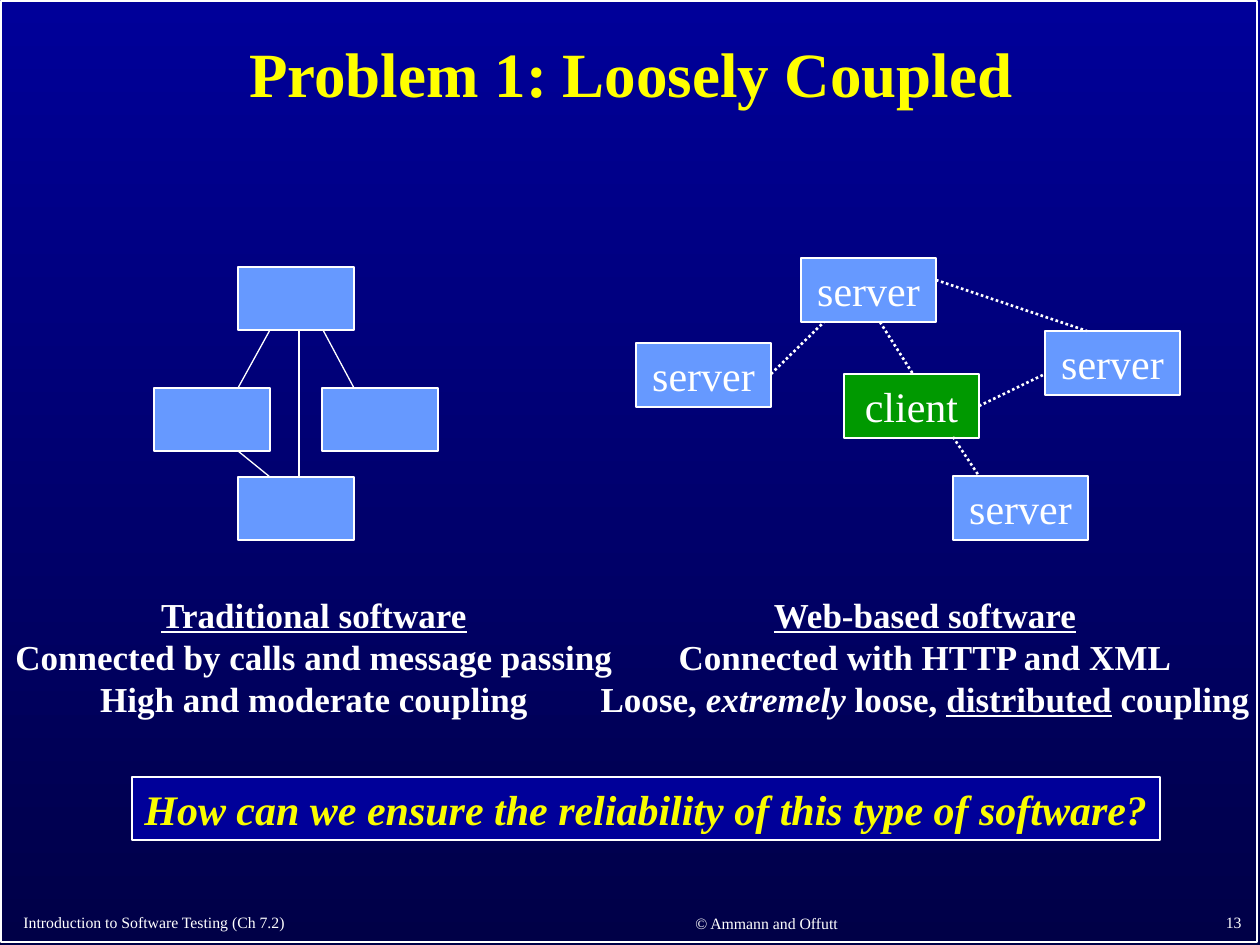
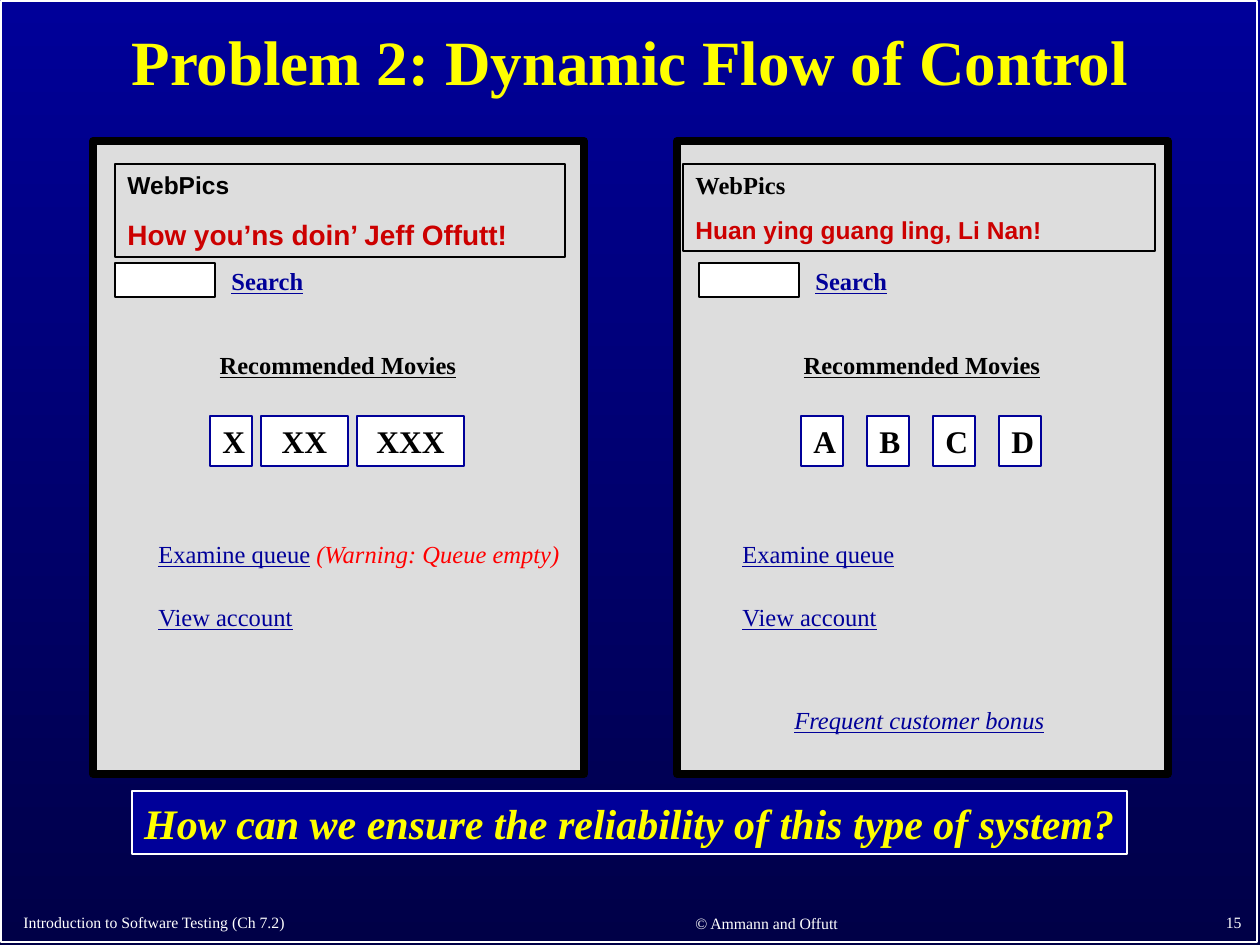
from lxml.etree import SubElement
from pptx import Presentation
from pptx.dml.color import RGBColor as Rgb
from pptx.enum.dml import MSO_LINE as Dash
from pptx.enum.shapes import MSO_CONNECTOR as Wire, MSO_SHAPE as Kind
from pptx.enum.text import MSO_ANCHOR as Anchor, MSO_AUTO_SIZE as Fit, PP_ALIGN as Align
from pptx.oxml.ns import qn
from pptx.util import Pt

PX = 914400 / 126
WIDE, HIGH = 1260, 945

NAVY = Rgb(0x00, 0x00, 0x99)
NIGHT = Rgb(0x00, 0x00, 0x47)
WHITE = Rgb(0xFF, 0xFF, 0xFF)
BLACK = Rgb(0x00, 0x00, 0x00)
YELLOW = Rgb(0xFF, 0xFF, 0x00)
LEMON = Rgb(0xFA, 0xFD, 0x00)
BLUE = Rgb(0x66, 0x99, 0xFF)
GREEN = Rgb(0x00, 0x99, 0x00)
GREY = Rgb(0xDD, 0xDD, 0xDD)
BRICK = Rgb(0xCC, 0x00, 0x00)
RED = Rgb(0xFF, 0x00, 0x00)
SERIF, SANS = "Times New Roman", "Arial"

# Shared footer: text, place, alignment
FOOTS = [
    ("Introduction to Software Testing (Ch 7.2)", (11, 900, 534, 38), Align.LEFT),
    ("© Ammann and Offutt", (567, 900, 399, 39), Align.CENTER),
]
PAGE = (992, 898, 262, 40)

# Slide 1: boxes, links and captions
LOOSE = {
    "title": ("Problem 1: Loosely Coupled", (13, 14, 1236, 126)),
    "page": "13",
    "ask": ("How can we ensure the reliability of this type of software?",
            (132, 777, 1028, 63), LEMON),
}
MODULE = (116, 63)
MODULES = [(238, 267), (238, 477), (322, 388), (154, 388)]
CALLS = [(270, 330, 238, 388), (323, 330, 354, 388),
         (238, 451, 270, 477), (299, 330, 299, 477)]
NODE = (135, 64)
NODES = [("server", 801, 258, BLUE), ("server", 636, 343, BLUE),
         ("client", 844, 374, GREEN), ("server", 1045, 331, BLUE),
         ("server", 953, 476, BLUE)]
LINKS = [(880, 322, 913, 374), (979, 406, 1045, 374), (953, 437, 979, 476),
         (771, 374, 824, 322), (936, 280, 1087, 331)]
CAPTIONS = [
    ((3, 587, 622, 139), [
        [("Traditional software", "bu")],
        [("Connected by calls and message passing", "b")],
        [("High and moderate coupling", "b")]]),
    ((588, 587, 674, 139), [
        [("Web-based software", "bu")],
        [("Connected with HTTP and XML", "b")],
        [("Loose, ", "b"), ("extremely", "bi"), (" loose, ", "b"),
         ("distributed", "bu"), (" coupling", "b")]]),
]

# Slide 2: two web pages; "hello" is the greeting, "extra" the one odd line
FLOW = {
    "title": ("Problem 2: Dynamic Flow of Control", (0, 0, 1260, 130)),
    "page": "15",
    "ask": ("How can we ensure the reliability of this type of system?",
            (132, 791, 995, 63), YELLOW),
}
SITES = [
    {"left": 93, "head": (115, 164, 450, 93), "brand": SERIF and SANS,
     "hello": ("How you’ns doin’ Jeff Offutt!", 16, 10),
     "films": [("X", 42), ("XX", 87), ("XXX", 107)], "start": 210, "gap": 9,
     "extra": ("(Warning: Queue empty)", "i", RED, (304, 533, 280, 43))},
    {"left": 677, "head": (683, 164, 472, 87), "brand": SERIF,
     "hello": ("Huan ying guang ling, Li Nan!", 14, 8.8),
     "films": [(name, 42) for name in "ABCD"], "start": 801, "gap": 24,
     "extra": ("Frequent customer bonus", "iu", NAVY, (782, 699, 280, 43))},
]
# Lines found on both pages: text, style, colour, place from page left, alignment
LABELS = [
    ("Search", "bu", NAVY, (126, 260, 105, 43), Align.LEFT),
    ("Recommended Movies", "bu", BLACK, (73, 344, 344, 43), Align.CENTER),
    ("Examine queue", "u", NAVY, (53, 533, 178, 43), Align.LEFT),
    ("View account", "u", NAVY, (53, 596, 178, 43), Align.LEFT),
]


def emu(at):
    return [round(n * PX) for n in at]


def style(run, size, color, marks="", face=SERIF):
    font = run.font
    font.name, font.size = face, Pt(size)
    font.color.rgb = color
    font.bold, font.italic, font.underline = (m in marks for m in "biu")


def write(shape, paras, size, color, align=Align.CENTER, anchor=Anchor.TOP, wrap=True):
    """Fill a shape with paragraphs, each a list of (text, marks) runs."""
    frame = shape.text_frame
    frame.word_wrap, frame.auto_size = wrap, Fit.NONE
    frame.vertical_anchor = anchor
    for i, runs in enumerate(paras):
        para = frame.add_paragraph() if i else frame.paragraphs[0]
        para.alignment = align
        for text, marks in runs:
            run = para.add_run()
            run.text = text
            style(run, size, color, marks)
    return frame


def label(slide, at, text, size, color, marks="", align=Align.LEFT, anchor=Anchor.TOP):
    shape = slide.shapes.add_textbox(*emu(at))
    write(shape, [[(text, marks)]], size, color, align, anchor)


def box(slide, at, fill=None, line=WHITE, width=0.75):
    shape = slide.shapes.add_shape(Kind.RECTANGLE, *emu(at))
    shape.shadow.inherit = False
    if fill is None:
        shape.fill.background()
    else:
        shape.fill.solid()
        shape.fill.fore_color.rgb = fill
    shape.line.color.rgb = line
    shape.line.width = Pt(width)
    return shape


def link(slide, ends, width=0.75, dash=None):
    wire = slide.shapes.add_connector(Wire.STRAIGHT, *emu(ends))
    wire.line.color.rgb = WHITE
    wire.line.width = Pt(width)
    if dash:
        wire.line.dash_style = dash
    SubElement(wire.element.spPr, qn("a:effectLst"))


def start(deck, data):
    """Add a slide with its frame, title, question bar and footer."""
    slide = deck.slides.add_slide(deck.slide_layouts[5])
    box(slide, (1, 1, 1256, 941), width=1)
    text, at = data["title"]
    title = slide.shapes.title
    title.left, title.top, title.width, title.height = emu(at)
    frame = write(title, [[(text, "b")]], 36, YELLOW, anchor=Anchor.MIDDLE)
    frame.paragraphs[0].line_spacing = 0.9
    text, at, color = data["ask"]
    write(box(slide, at, NAVY), [[(text, "bi")]], 24, color, wrap=False)
    for text, at, align in FOOTS + [(data["page"], PAGE, Align.RIGHT)]:
        label(slide, at, text, 9, WHITE, align=align, anchor=Anchor.BOTTOM)
    return slide


def draw_loose(deck):
    slide = start(deck, LOOSE)
    for spot in MODULES:
        box(slide, spot + MODULE, BLUE)
    for ends in CALLS:
        link(slide, ends)
    for name, x, y, fill in NODES:
        node = box(slide, (x, y) + NODE, fill)
        write(node, [[(name, "")]], 24, WHITE, anchor=Anchor.MIDDLE, wrap=False)
    for ends in LINKS:
        link(slide, ends, 1.5, Dash.ROUND_DOT)
    for at, paras in CAPTIONS:
        write(slide.shapes.add_textbox(*emu(at)), paras, 20, WHITE, wrap=False)


def draw_site(slide, site):
    left = site["left"]
    box(slide, (left, 141, 491, 633), GREY, BLACK, 4.5)

    # Greeting and search field
    hello, size, gap = site["hello"]
    head = box(slide, site["head"], None, BLACK)
    frame = write(head, [[("WebPics", "b")], [(hello, "b")]], 14, BLACK, Align.LEFT)
    brand, greet = frame.paragraphs
    style(brand.runs[0], 14, BLACK, "b", site["brand"])
    style(greet.runs[0], size, BRICK, "b", SANS)
    greet.space_before = Pt(gap)
    box(slide, (left + 22, 263, 100, 34), WHITE, BLACK)

    # Labels and links
    for text, marks, color, (x, *rest), align in LABELS:
        label(slide, (left + x, *rest), text, 14, color, marks, align)
    text, marks, color, at = site["extra"]
    label(slide, at, text, 14, color, marks)

    # Row of films
    x = site["start"]
    for name, width in site["films"]:
        film = box(slide, (x, 416, width, 50), WHITE, NAVY, 1.5)
        write(film, [[(name, "b")]], 18, BLACK)
        x += width + site["gap"]


def draw_flow(deck):
    slide = start(deck, FLOW)
    for site in SITES:
        draw_site(slide, site)


def main():
    deck = Presentation()
    deck.slide_width, deck.slide_height = emu((WIDE, HIGH))
    back = deck.slide_master.background.fill
    back.gradient()
    back.gradient_angle = 270
    for stop, color, spot in zip(back.gradient_stops, (NAVY, NIGHT), (0, 1)):
        stop.color.rgb, stop.position = color, spot
    draw_loose(deck)
    draw_flow(deck)
    deck.save("out.pptx")


if __name__ == "__main__":
    main()
